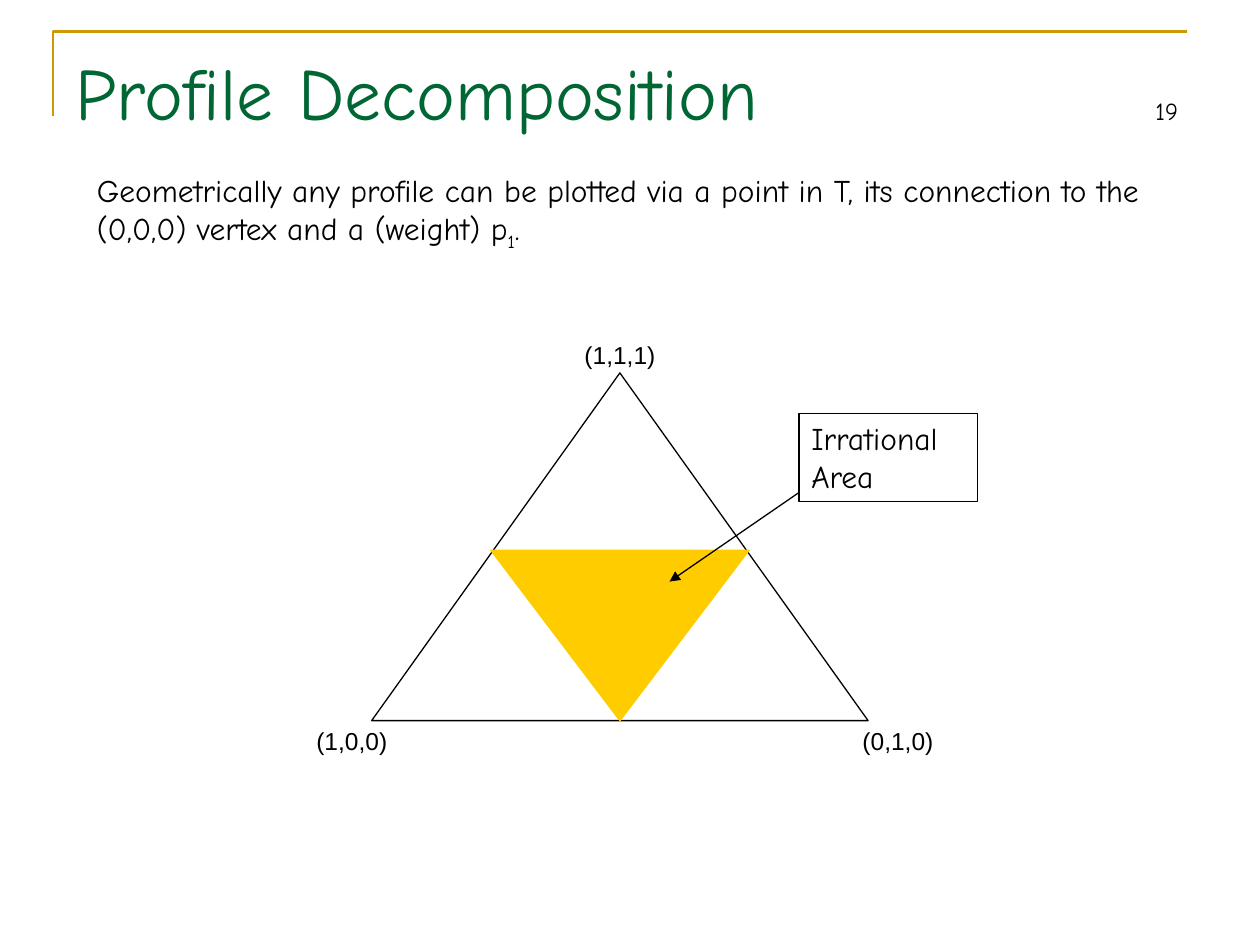
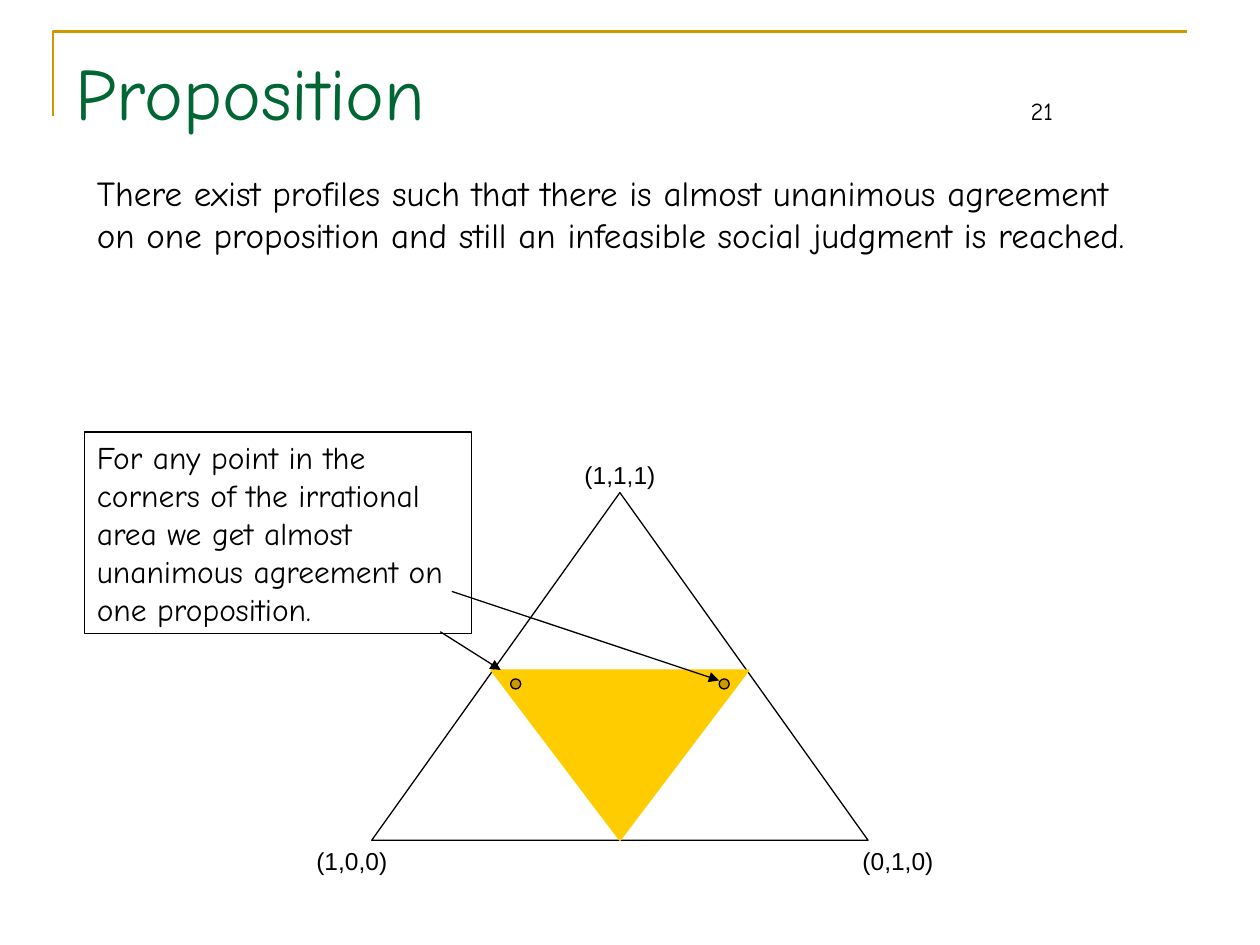
from collections import namedtuple

from lxml.etree import SubElement
from pptx import Presentation
from pptx.dml.color import RGBColor
from pptx.enum.shapes import MSO_CONNECTOR, MSO_SHAPE
from pptx.enum.text import MSO_ANCHOR, MSO_AUTO_SIZE, PP_ALIGN
from pptx.oxml.ns import qn
from pptx.util import Inches, Pt

COLORS = {"frame": "CC9900", "title": "006633", "text": "000000", "area": "FFCC00"}
TEXT_FONT = "Comic Neue"
LABEL_FONT = "Arial"
COLUMNS, ROWS = 100, 75
COLUMN, ROW = Inches(10) // COLUMNS, Inches(7.5) // ROWS

Point = namedtuple("Point", "x y")


class Box(namedtuple("Box", "left top width height")):
    """A rectangle in grid columns and rows."""

    def point(self, across, down):
        """Return the point at the given shares of the box."""
        return Point(self.left + across * self.width, self.top + down * self.height)

    def inner(self, across, down, width, height):
        """Return an inner box given as shares of this one."""
        return Box(*self.point(across, down), width * self.width, height * self.height)

    def emu(self):
        """Return the box as slide lengths."""
        return (round(self.left * COLUMN), round(self.top * ROW),
                round(self.width * COLUMN), round(self.height * ROW))


TITLE_BOX = Box(5, 3, 90, 8.5)
FRAME_BOX = Box(4.2, 2.5, 90, 6.7)
TRIANGLE_SIZE = (39.4, 27.6)
LABEL_SIZE = (7.9, 3.4)
DOT_SIZE = 0.8


def centered(point, width, height):
    """Return a box of the given size around a point."""
    return Box(point.x - width / 2, point.y - height / 2, width, height)


def color(name):
    """Look up a named colour."""
    return RGBColor.from_string(COLORS[name])


def style_font(font, size, name=TEXT_FONT, tint="text"):
    """Set size, typeface and colour of a font."""
    font.size, font.name = Pt(size), name
    font.color.rgb = color(tint)


def add_outline(shapes, preset, box, line="text", fill=None):
    """Add a preset shape with a thin line and an optional fill."""
    shape = shapes.add_shape(preset, *box.emu())
    shape.shadow.inherit = False
    shape.line.color.rgb = color(line)
    shape.line.width = Pt(0.75)
    if fill:
        shape.fill.solid()
        shape.fill.fore_color.rgb = color(fill)
    else:
        shape.fill.background()
    return shape


def write_text(shape, text, size, name=TEXT_FONT, align=PP_ALIGN.LEFT):
    """Fill a shape with one wrapped paragraph from the top and return it."""
    frame = shape.text_frame
    frame.word_wrap = True
    frame.vertical_anchor = MSO_ANCHOR.TOP
    paragraph = frame.paragraphs[0]
    paragraph.text = text
    paragraph.alignment = align
    style_font(paragraph.font, size, name)
    return paragraph


def add_master_frame(presentation, slide, box):
    """Draw the corner line and hand it to the slide master."""
    left, top, width, height = box.emu()
    builder = slide.shapes.build_freeform(left, top + height)
    builder.add_line_segments([(left, top), (left + width, top)], close=False)
    corner = builder.convert_to_shape()
    corner.shadow.inherit = False
    corner.fill.background()
    corner.line.color.rgb = color("frame")
    corner.line.width = Pt(1.5)
    corner.element.xpath("p:nvSpPr/p:cNvPr")[0].set("id", "100")
    presentation.slide_master.shapes.element.append(corner.element)


def add_title(slide, box, text, number, number_column):
    """Write the title with the slide number at a tab stop."""
    title = slide.shapes.title
    title.left, title.top, title.width, title.height = box.emu()
    frame = title.text_frame
    frame.vertical_anchor = MSO_ANCHOR.MIDDLE
    frame.auto_size = MSO_AUTO_SIZE.NONE
    paragraph = frame.paragraphs[0]
    paragraph.alignment = PP_ALIGN.LEFT
    tabs = SubElement(paragraph._p.get_or_add_pPr(), qn("a:tabLst"))
    SubElement(tabs, qn("a:tab"), pos=str(round(number_column * COLUMN)), algn="l")
    for content, size, tint in ((text + "\t", 42, "title"), (str(number), 14, "text")):
        run = paragraph.add_run()
        run.text = content
        style_font(run.font, size, tint=tint)


def add_statement(slide, box, text, size):
    """Add the statement under the title and return its paragraph."""
    return write_text(slide.shapes.add_textbox(*box.emu()), text, size)


def add_triangle(shapes, box):
    """Draw the triangle T, its irrational area and its vertex labels."""
    add_outline(shapes, MSO_SHAPE.ISOSCELES_TRIANGLE, box)
    area = add_outline(shapes, MSO_SHAPE.ISOSCELES_TRIANGLE,
                       box.inner(0.24, 0.51, 0.52, 0.49), "area", "area")
    area.rotation = 180
    vertices = {"(1,0,0)": (-0.04, 1.06), "(0,1,0)": (1.06, 1.06), "(1,1,1)": (0.5, -0.05)}
    for text, shares in vertices.items():
        label = shapes.add_textbox(*centered(box.point(*shares), *LABEL_SIZE).emu())
        write_text(label, text, 14, LABEL_FONT, PP_ALIGN.CENTER)
        label.text_frame.word_wrap = False


def add_callout(slide, box, text):
    """Add an outlined note."""
    write_text(add_outline(slide.shapes, MSO_SHAPE.RECTANGLE, box), text, 18)


def add_dots(slide, box):
    """Mark two points in the upper corners of the irrational area."""
    for across in (0.29, 0.71):
        dot_box = centered(box.point(across, 0.55), DOT_SIZE, DOT_SIZE)
        add_outline(slide.shapes, MSO_SHAPE.OVAL, dot_box, fill="frame")


def add_arrow(slide, start, end):
    """Draw a thin arrow between two grid points."""
    arrow = slide.shapes.add_connector(
        MSO_CONNECTOR.STRAIGHT, round(start.x * COLUMN), round(start.y * ROW),
        round(end.x * COLUMN), round(end.y * ROW))
    arrow.line.color.rgb = color("text")
    arrow.line.width = Pt(0.75)
    SubElement(arrow.line._get_or_add_ln(), qn("a:tailEnd"), type="triangle")
    SubElement(arrow.element.spPr, qn("a:effectLst"))


def build_decomposition(slide):
    """Build the slide on plotting a profile."""
    add_title(slide, TITLE_BOX, "Profile Decomposition", 19, 85.7)
    paragraph = add_statement(
        slide, Box(6.7, 13.1, 85.1, 7.4),
        "Geometrically any profile can be plotted via a point in T, its connection "
        "to the (0,0,0) vertex and a (weight) p", 18)
    subscript = paragraph.add_run()
    subscript.text = "1"
    subscript.font._element.set("baseline", "-25000")
    paragraph.add_run().text = "."
    triangle = Box(29.5, 29.6, *TRIANGLE_SIZE)
    callout = Box(63.4, 32.8, 14.2, 7)
    add_triangle(slide.shapes, triangle)
    add_callout(slide, callout, "Irrational Area")
    add_arrow(slide, callout.point(0, 0.9), triangle.point(0.6, 0.6))


def build_proposition(slide):
    """Build the slide on almost unanimous agreement."""
    add_title(slide, TITLE_BOX, "Proposition", 21, 75.8)
    add_statement(
        slide, Box(6.7, 13.1, 85.1, 7.7),
        "There exist profiles such that there is almost unanimous agreement on one "
        "proposition and still an infeasible social judgment is reached.", 20)
    triangle = Box(29.5, 39.1, *TRIANGLE_SIZE)
    callout = Box(6.7, 34.3, 30.7, 16)
    add_triangle(slide.shapes.add_group_shape().shapes, triangle)
    add_callout(slide, callout,
                "For any point in the corners of the irrational area we get almost "
                "unanimous agreement on one proposition.")
    add_dots(slide, triangle)
    add_arrow(slide, callout.point(0.92, 0.99), triangle.point(0.26, 0.51))
    add_arrow(slide, callout.point(0.95, 0.79), triangle.point(0.7, 0.54))


def main():
    """Build and save the presentation."""
    presentation = Presentation()
    presentation.slide_width = COLUMN * COLUMNS
    presentation.slide_height = ROW * ROWS
    title_only = presentation.slide_layouts[5]
    for build in (build_decomposition, build_proposition):
        build(presentation.slides.add_slide(title_only))
    add_master_frame(presentation, presentation.slides[0], FRAME_BOX)
    presentation.save("out.pptx")


if __name__ == "__main__":
    main()
